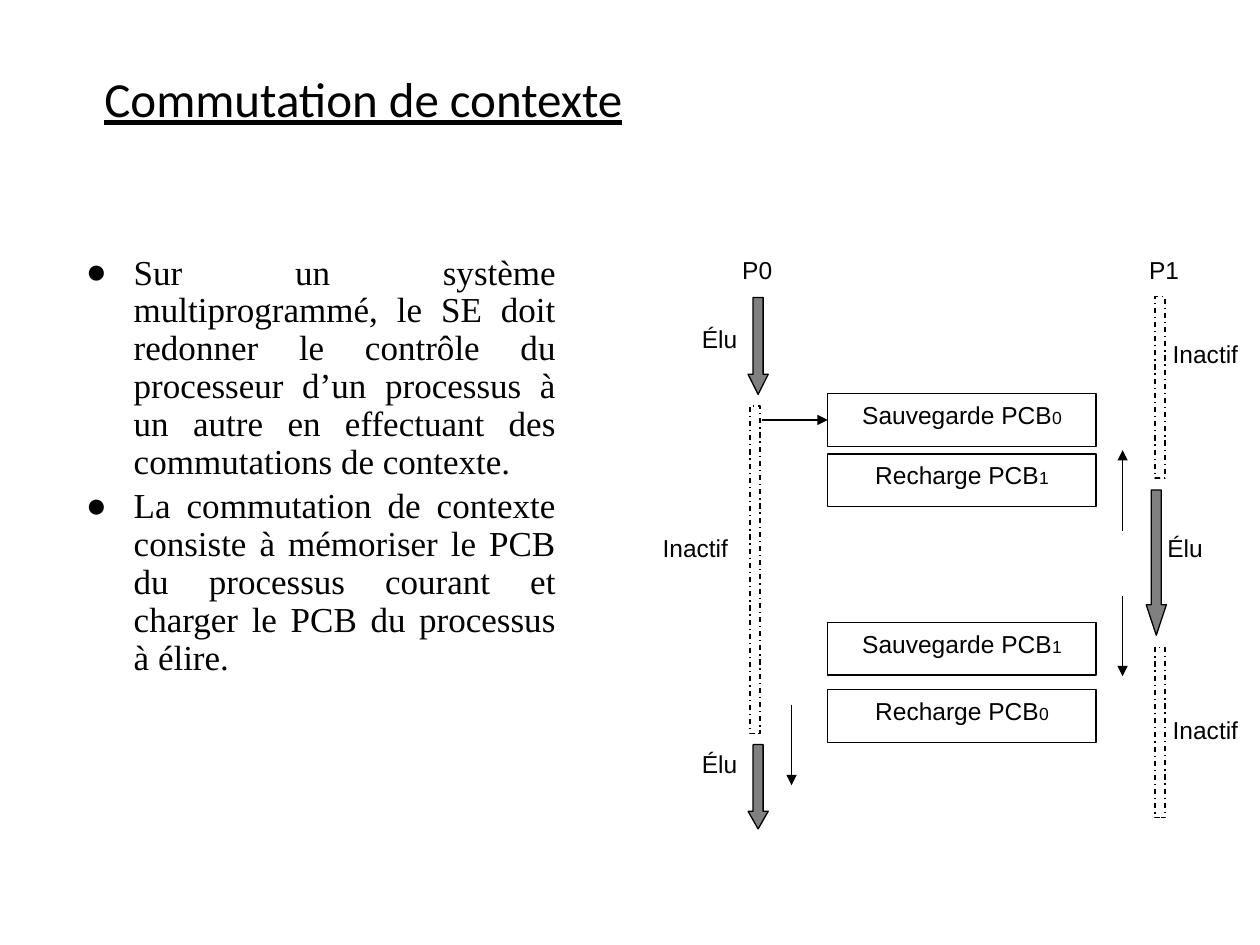
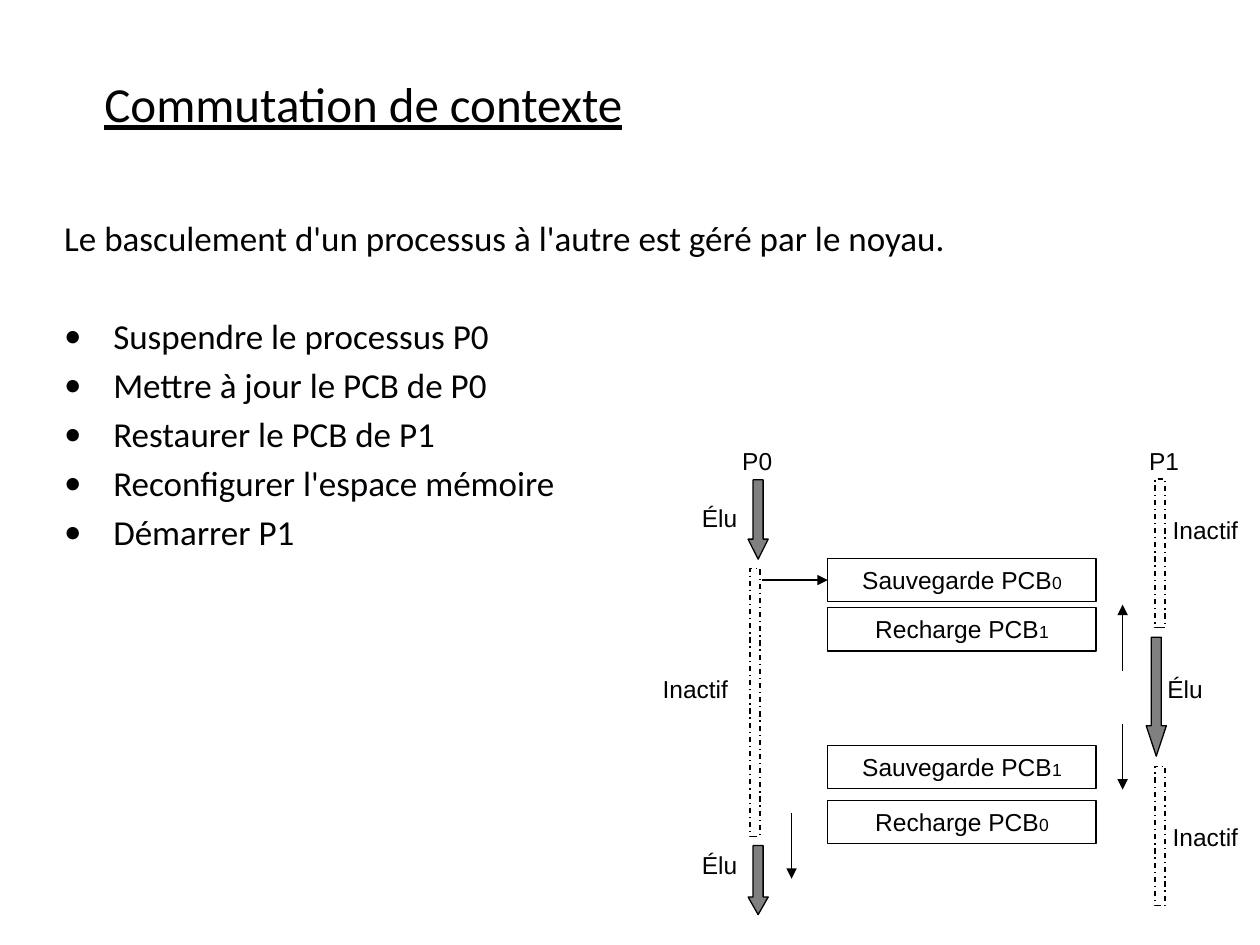
from lxml.etree import SubElement
from pptx import Presentation
from pptx.dml.color import RGBColor
from pptx.enum.dml import MSO_LINE
from pptx.enum.shapes import MSO_CONNECTOR, MSO_SHAPE
from pptx.enum.text import MSO_ANCHOR, MSO_AUTO_SIZE, PP_ALIGN
from pptx.oxml.ns import qn
from pptx.util import Pt

# Content
TITLE = "Commutation de contexte"
DEFINITION = [
    "Sur un système multiprogrammé, le SE doit redonner le contrôle du processeur d’un "
    "processus à un autre en effectuant des commutations de contexte.",
    "La commutation de contexte consiste à mémoriser le PCB du processus courant et "
    "charger le PCB du processus à élire.",
]
INTRODUCTION = "Le basculement d'un processus à l'autre est géré par le noyau."
STEPS = [
    "Suspendre le processus P0",
    "Mettre à jour le PCB de P0",
    "Restaurer le PCB de P1",
    "Reconfigurer l'espace mémoire",
    "Démarrer P1",
]

# Diagram in points: x on the slide, y below the diagram top at full height
ELECTED_ARROWS = [  # x, y, height, head length / width
    (427.5, 28, 55.4, 0.995),
    (427.5, 283.5, 48.2, 0.874),
    (655, 138, 83, 1.511),
]
IDLE_BARS = [(428.5, 90, 187), (660, 27.5, 103.7), (660, 228, 97.2)]  # x, y, height
PCB_BOXES = [  # y, operation, process number
    (82.8, "Sauvegarde PCB", "0"),
    (117.4, "Recharge PCB", "1"),
    (213.6, "Sauvegarde PCB", "1"),
    (252, "Recharge PCB", "0"),
]
FLOW_ARROWS = [  # start x, start y, end x, end y
    (435.6, 98, 473, 98),
    (641.5, 161.3, 641.5, 115.2),
    (641.5, 198.7, 641.5, 244.4),
    (452.3, 260.6, 452.3, 306.7),
]
LABELS = [  # x, y, text
    (417, 0, "P0"),
    (649.5, 0, "P1"),
    (394, 39.6, "Élu"),
    (394, 282.2, "Élu"),
    (660, 159, "Élu"),
    (371.5, 159, "Inactif"),
    (663, 262.8, "Inactif"),
    (663, 48.2, "Inactif"),
]

# Shared style
INK, BLACK, GREY, WHITE = "000204", "000000", "808080", "FFFFFF"
TITLE_FONT, SERIF_FONT, DIAGRAM_FONT = "Calibri", "Times New Roman", "Arial"
ARROW_WIDTH, BAR_WIDTH, LINE_WIDTH = 11.5, 5.8, 0.75
BOX_LEFT, BOX_WIDTH, BOX_HEIGHT = 473, 153.4, 30.2
LABEL_HEIGHT = 29.5


def color(hex_string):
    return RGBColor.from_string(hex_string)


def place(shape, left, top, width, height):
    shape.left, shape.top = Pt(left), Pt(top)
    shape.width, shape.height = Pt(width), Pt(height)


def style_font(paragraph, name, size):
    font = paragraph.font
    font.name, font.size = name, Pt(size)
    font.color.rgb = color(INK)


def set_bullet(paragraph, character, indent, bullet_color, font_name):
    """Hanging bullet, or plain flush text when there is no character."""
    properties = paragraph._p.get_or_add_pPr()
    properties.set("marL", str(Pt(indent)))
    properties.set("indent", str(-Pt(indent)))
    if character:
        fill = SubElement(properties, qn("a:buClr"))
        SubElement(fill, qn("a:srgbClr"), val=bullet_color)
        SubElement(properties, qn("a:buFont"), typeface=font_name)
        SubElement(properties, qn("a:buChar"), char=character)
    else:
        SubElement(properties, qn("a:buNone"))


def add_titled_slide(presentation, title_top, title_height):
    slide = presentation.slides.add_slide(presentation.slide_layouts[1])
    title = slide.shapes.title
    place(title, 52.5, title_top, 624, title_height)
    frame = title.text_frame
    frame.text = TITLE
    frame.auto_size = MSO_AUTO_SIZE.NONE
    frame.vertical_anchor = MSO_ANCHOR.BOTTOM
    paragraph = frame.paragraphs[0]
    paragraph.alignment, paragraph.line_spacing = PP_ALIGN.LEFT, 0.9
    style_font(paragraph, TITLE_FONT, 28)
    paragraph.font.underline = True
    return slide


def fill_body(slide, area, items, font_name, line_spacing, bullet_color):
    """Items are (text, bullet character, indent, space before)."""
    body = slide.placeholders[1]
    place(body, *area)
    frame = body.text_frame
    frame.auto_size = MSO_AUTO_SIZE.NONE
    for index, (text, character, indent, space_before) in enumerate(items):
        paragraph = frame.paragraphs[0] if index == 0 else frame.add_paragraph()
        paragraph.text = text
        set_bullet(paragraph, character, indent, bullet_color, font_name)
        paragraph.alignment = PP_ALIGN.JUSTIFY
        paragraph.line_spacing = line_spacing
        paragraph.space_before = Pt(space_before)
        style_font(paragraph, font_name, 20)


def add_outlined(slide, kind, area, fill=None):
    shape = slide.shapes.add_shape(kind, *map(Pt, area))
    shape.shadow.inherit = False
    if fill:
        shape.fill.solid()
        shape.fill.fore_color.rgb = color(fill)
    else:
        shape.fill.background()
    shape.line.color.rgb = color(BLACK)
    shape.line.width = Pt(LINE_WIDTH)
    return shape


def add_flow_arrow(slide, *ends):
    connector = slide.shapes.add_connector(MSO_CONNECTOR.STRAIGHT, *map(Pt, ends))
    connector.line.color.rgb = color(BLACK)
    connector.line.width = Pt(LINE_WIDTH)
    properties = connector._element.spPr
    SubElement(properties.find(qn("a:ln")), qn("a:tailEnd"), type="triangle")
    SubElement(properties, qn("a:effectLst"))


def add_diagram(slide, top, scale):
    """Timeline of both processes, stretched vertically by scale."""
    def down(y):
        return top + y * scale

    # Process states
    for x, y, height, head in ELECTED_ARROWS:
        area = (x, down(y), ARROW_WIDTH, height * scale)
        arrow = add_outlined(slide, MSO_SHAPE.DOWN_ARROW, area, GREY)
        arrow.adjustments[0], arrow.adjustments[1] = 0.5, head
    for x, y, height in IDLE_BARS:
        area = (x, down(y), BAR_WIDTH, height * scale)
        bar = add_outlined(slide, MSO_SHAPE.RECTANGLE, area, WHITE)
        bar.line.dash_style = MSO_LINE.DASH_DOT

    # Operations on the process control blocks
    for y, operation, number in PCB_BOXES:
        area = (BOX_LEFT, down(y), BOX_WIDTH, BOX_HEIGHT * scale)
        box = add_outlined(slide, MSO_SHAPE.RECTANGLE, area)
        box.text_frame.vertical_anchor = MSO_ANCHOR.TOP
        paragraph = box.text_frame.paragraphs[0]
        paragraph.alignment = PP_ALIGN.CENTER
        style_font(paragraph, DIAGRAM_FONT, 14)
        paragraph.add_run().text = operation
        index_run = paragraph.add_run()
        index_run.text = number
        index_run.font.size = Pt(10)

    # Control flow
    for start_x, start_y, end_x, end_y in FLOW_ARROWS:
        add_flow_arrow(slide, start_x, down(start_y), end_x, down(end_y))

    # Labels
    for x, y, text in LABELS:
        width = 57 if text == "Inactif" else 39.6
        area = (x, down(y), width, LABEL_HEIGHT * scale)
        frame = slide.shapes.add_textbox(*map(Pt, area)).text_frame
        frame.word_wrap = True
        frame.text = text
        style_font(frame.paragraphs[0], DIAGRAM_FONT, 14)


def main():
    presentation = Presentation()
    presentation.slide_width, presentation.slide_height = Pt(720), Pt(540)

    # Definition
    slide = add_titled_slide(presentation, 34, 43)
    items = [(text, "●", 27.4, 4 if index else 0) for index, text in enumerate(DEFINITION)]
    fill_body(slide, (41.8, 142, 283, 293), items, SERIF_FONT, 0.9, INK)
    add_diagram(slide, 142, 1)

    # Steps of the switch
    slide = add_titled_slide(presentation, 29.5, 50.4)
    items = [(INTRODUCTION, None, 0, 0)]
    items += [(step, "•", 28, 4 if index else 32) for index, step in enumerate(STEPS)]
    fill_body(slide, (29.5, 120, 693, 264), items, TITLE_FONT, 1, BLACK)
    add_diagram(slide, 251.3, 0.818)

    presentation.save("out.pptx")


if __name__ == "__main__":
    main()
